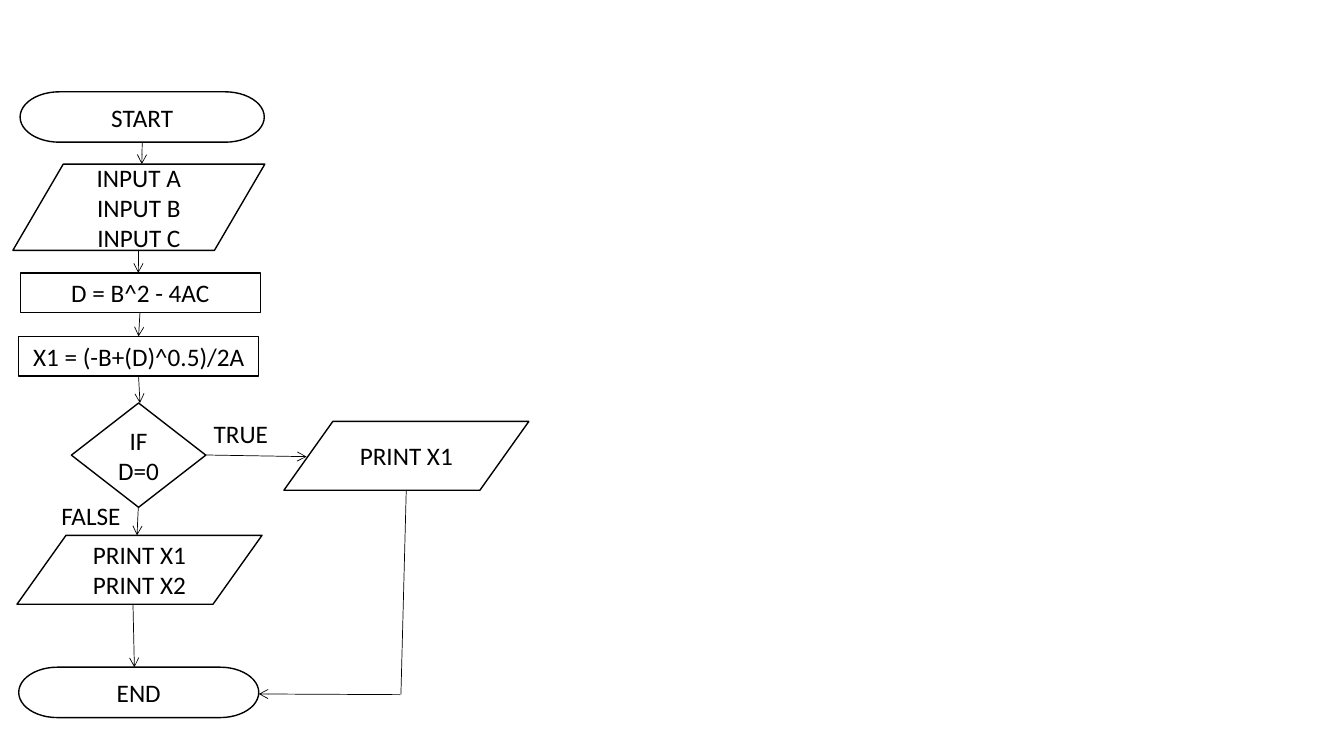
from dataclasses import dataclass
from itertools import pairwise
from lxml import etree
from pptx import Presentation
from pptx import util as u
from pptx.dml import color
from pptx.enum import shapes, text
from pptx.oxml import ns


@dataclass(frozen=True)
class Theme:
    ink: color.RGBColor = color.RGBColor(0, 0, 0)
    paper: color.RGBColor = color.RGBColor(255, 255, 255)
    font: str = "Calibri"
    size: float = 18
    edge: float = 1
    wire: float = 0.5


theme = Theme()
kind = shapes.MSO_SHAPE
cap, data = kind.FLOWCHART_TERMINATOR, kind.FLOWCHART_DATA
box, test = kind.RECTANGLE, kind.FLOWCHART_DECISION

steps = [
    (cap, "START", 14.4, 65.6, 174.4, 36),
    (data, "INPUT A\nINPUT B\nINPUT C", 9.2, 117.2, 180, 61.6),
    (box, "D = B^2 - 4AC", 14.5, 194.9, 171.4, 28.4),
    (box, "X1 = (-B+(D)^0.5)/2A", 13.4, 240.3, 171.4, 28.4),
    (test, "IF\nD=0", 51, 287.9, 96, 74.5),
    (data, "PRINT X1\nPRINT X2", 12.2, 382.4, 175, 49.2),
    (cap, "END", 13.4, 476.6, 171.4, 36),
]
branch = (data, "PRINT X1", 202.8, 301, 175, 49.2)
drops = [(101.6, 101.3), (99, 98.8), (100, 99), (99, 100), (98.8, 97.9), (95, 96)]
sides = [
    (147, 325, 219, 326.2, True),
    (290.2, 350.2, 286.4, 496, False),
    (286, 496.2, 184.8, 495.7, True),
]
labels = [("TRUE", 145.5, 295.6, 73, 29.1), ("FALSE", 36.7, 353.5, 65, 29.1)]


def style(frame, align):
    frame.word_wrap = True
    for para in frame.paragraphs:
        para.alignment = align
        for run in para.runs:
            run.font.name = theme.font
            run.font.size = u.Pt(theme.size)
            run.font.color.rgb = theme.ink


def add_step(slide, shape, words, *place):
    step = slide.shapes.add_shape(shape, *map(u.Pt, place))
    step.shadow.inherit = False
    step.fill.solid()
    step.fill.fore_color.rgb = theme.paper
    step.line.color.rgb = theme.ink
    step.line.width = u.Pt(theme.edge)
    step.text_frame.text = words
    step.text_frame.vertical_anchor = text.MSO_ANCHOR.MIDDLE
    style(step.text_frame, text.PP_ALIGN.CENTER)


def add_link(slide, *ends, arrow=True):
    link = slide.shapes.add_connector(shapes.MSO_CONNECTOR.STRAIGHT, *map(u.Pt, ends))
    link.line.color.rgb = theme.ink
    link.line.width = u.Pt(theme.wire)
    props = link._element.spPr
    if arrow:
        tail = etree.SubElement(props.find(ns.qn("a:ln")), ns.qn("a:tailEnd"))
        tail.set("type", "arrow")
    etree.SubElement(props, ns.qn("a:effectLst"))


def add_label(slide, words, *place):
    label = slide.shapes.add_textbox(*map(u.Pt, place))
    label.text_frame.text = words
    label.text_frame.auto_size = text.MSO_AUTO_SIZE.SHAPE_TO_FIT_TEXT
    style(label.text_frame, text.PP_ALIGN.LEFT)


deck = Presentation()
deck.slide_width, deck.slide_height = u.Pt(960), u.Pt(540)
slide = deck.slides.add_slide(deck.slide_layouts[6])

for step in [*steps, branch]:
    add_step(slide, *step)
for (above, below), (start, end) in zip(pairwise(steps), drops):
    add_link(slide, start, above[3] + above[5], end, below[3])
for *ends, arrow in sides:
    add_link(slide, *ends, arrow=arrow)
for label in labels:
    add_label(slide, *label)

deck.save("out.pptx")
